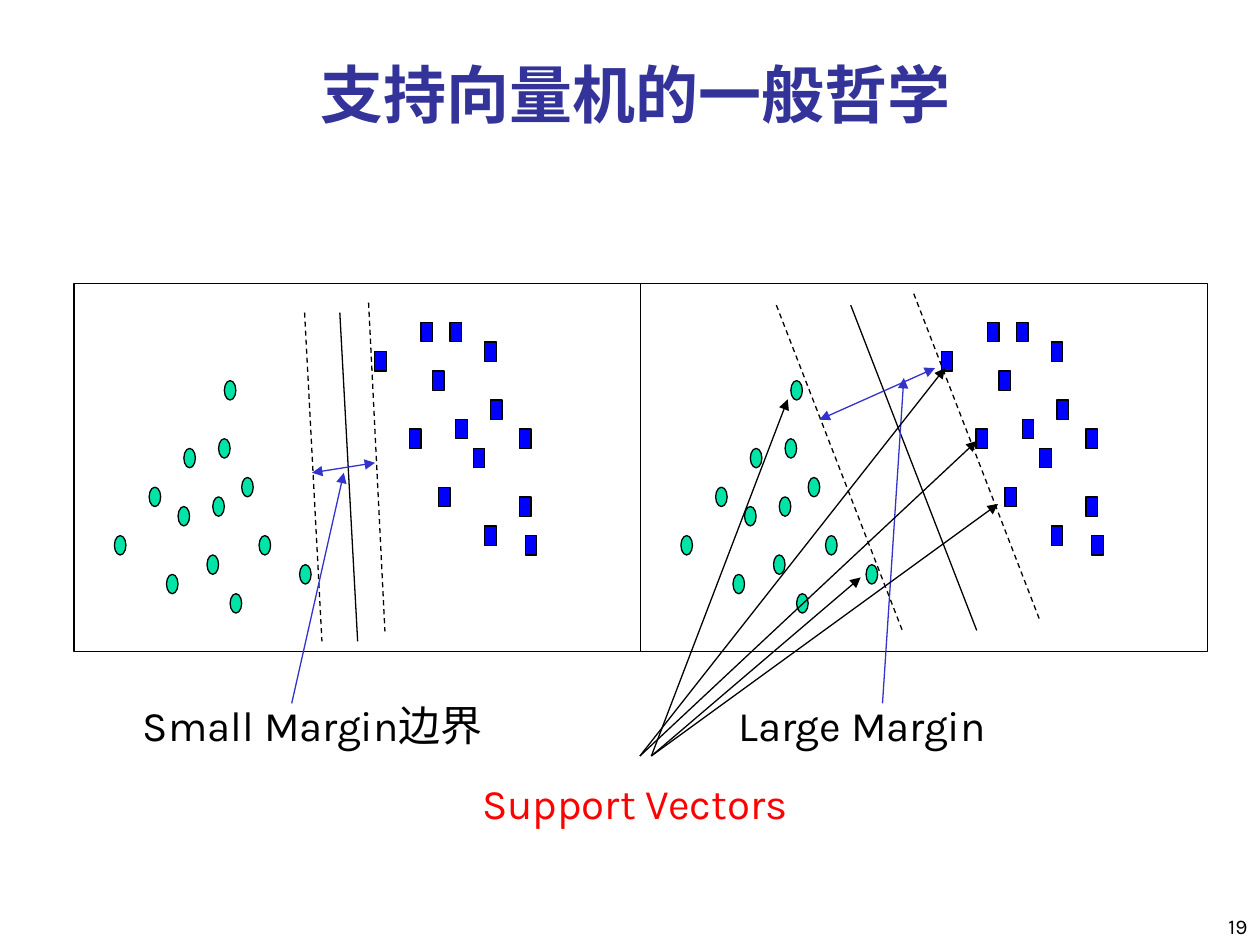
import pptx
import pptx.dml.color
import pptx.enum.dml
import pptx.enum.shapes
import pptx.enum.text
import pptx.oxml.ns
import pptx.util
import lxml.etree

Cm = pptx.util.Cm
ALIGN = pptx.enum.text.PP_ALIGN
ANCHOR = pptx.enum.text.MSO_ANCHOR
SHAPE = pptx.enum.shapes.MSO_SHAPE

FONT = "Karla"
BLACK, WHITE, NAVY, RED = "000000", "FFFFFF", "333399", "FF0000"
GREEN, BLUE, ARROW_BLUE = "00E4A8", "0000FF", "3333CC"

PANEL_WIDTH, PANEL_HEIGHT = 11.43, 7.42
GRID_COLUMNS, GRID_ROWS = 98, 38
CIRCLES = [(16, 30), (18, 23), (7, 26), (13, 21), (23, 28), (19, 17), (24, 22),
           (25, 16), (29, 20), (32, 26), (27, 32), (39, 29), (26, 10)]
SQUARES = [(58, 15), (52, 7), (60, 4), (63, 21), (62, 9), (66, 14), (65, 4),
           (71, 6), (69, 17), (72, 12), (71, 25), (77, 15), (77, 22), (78, 26)]

SMALL_MARGIN = {
    "label": ("Small Margin边界", 1.14, 7.65),
    "borders": [(5.94, 0.38, 6.27, 7.01), (4.65, 0.58, 5, 7.21)],
    "divider": (5.36, 0.58, 5.72, 7.21),
    "width_arrow": (4.8, 3.81, 6.07, 3.61),
    "pointer": (4.39, 8.46, 5.44, 3.81),
}
LARGE_MARGIN = {
    "label": ("Large Margin", 1.73, 5.84),
    "borders": [(2.74, 0.43, 5.28, 6.99), (5.51, 0.2, 8.05, 6.78)],
    "divider": (4.24, 0.43, 6.78, 6.99),
    "width_arrow": (3.61, 2.74, 5.94, 1.7),
    "pointer": (4.88, 8.46, 5.31, 1.9),
}


def color(code):
    """Return the colour for a hex string."""
    return pptx.dml.color.RGBColor.from_string(code)


def write_text(box, text, size=24, fill=BLACK, bold=False, align=ALIGN.LEFT,
               anchor=ANCHOR.TOP, wrap=False):
    """Put one formatted paragraph into a box."""
    frame = box.text_frame
    fit = pptx.enum.text.MSO_AUTO_SIZE
    frame.auto_size = fit.NONE if wrap else fit.SHAPE_TO_FIT_TEXT
    frame.word_wrap = wrap
    frame.vertical_anchor = anchor
    para = frame.paragraphs[0]
    para.alignment = align
    span = para.add_run()
    span.text = text
    span.font.name = FONT
    span.font.size = pptx.util.Pt(size)
    span.font.bold = bold
    span.font.color.rgb = color(fill)


def add_text(page, left, top, width, height, text, **style):
    """Add a text box with one paragraph."""
    box = page.shapes.add_textbox(Cm(left), Cm(top), Cm(width), Cm(height))
    write_text(box, text, **style)


def add_outlined(page, kind, left, top, width, height, fill=None):
    """Add a thin black outlined shape, filled when a colour is given."""
    shape = page.shapes.add_shape(kind, Cm(left), Cm(top), Cm(width), Cm(height))
    shape.shadow.inherit = False
    if fill:
        shape.fill.solid()
        shape.fill.fore_color.rgb = color(fill)
    else:
        shape.fill.background()
    shape.line.color.rgb = color(BLACK)
    shape.line.width = pptx.util.Pt(0.75)


def add_line(page, left, top, ends, stroke=BLACK, dashed=False, arrows=()):
    """Draw a straight line whose ends are relative to a corner."""
    x1, y1, x2, y2 = ends
    line = page.shapes.add_connector(
        pptx.enum.shapes.MSO_CONNECTOR.STRAIGHT,
        Cm(left + x1), Cm(top + y1), Cm(left + x2), Cm(top + y2))
    line.line.color.rgb = color(stroke)
    line.line.width = pptx.util.Pt(0.75)
    if dashed:
        line.line.dash_style = pptx.enum.dml.MSO_LINE.DASH
    properties = line._element.spPr
    outline = properties.find(pptx.oxml.ns.qn("a:ln"))
    for end in arrows:
        lxml.etree.SubElement(outline, pptx.oxml.ns.qn(f"a:{end}"), type="triangle")
    lxml.etree.SubElement(properties, pptx.oxml.ns.qn("a:effectLst"))


def add_title(page, left, top, width, height):
    """Place and format the title placeholder."""
    title = page.shapes.title
    title.left, title.top = Cm(left), Cm(top)
    title.width, title.height = Cm(width), Cm(height)
    write_text(title, "支持向量机的一般哲学", size=36, fill=NAVY, bold=True,
               align=ALIGN.CENTER, anchor=ANCHOR.BOTTOM, wrap=True)


def add_panel(page, left, top, margin):
    """Draw the two classes of points with one separating margin."""
    column, row = PANEL_WIDTH / GRID_COLUMNS, PANEL_HEIGHT / GRID_ROWS
    for kind, fill, places in ((SHAPE.OVAL, GREEN, CIRCLES),
                               (SHAPE.RECTANGLE, BLUE, SQUARES)):
        for x, y in places:
            add_outlined(page, kind, left + x * column, top + y * row,
                         2 * column, 2 * row, fill)
    add_outlined(page, SHAPE.RECTANGLE, left, top, PANEL_WIDTH, PANEL_HEIGHT)
    for border in margin["borders"]:
        add_line(page, left, top, border, dashed=True)
    add_line(page, left, top, margin["divider"])
    label, offset, width = margin["label"]
    add_text(page, left + offset, top + 8.26, width, 1.27, label)
    add_line(page, left, top, margin["width_arrow"], ARROW_BLUE,
             arrows=("headEnd", "tailEnd"))
    add_line(page, left, top, margin["pointer"], ARROW_BLUE, arrows=("tailEnd",))


def add_support_vectors(page, left, top):
    """Name the support vectors and point at each of them."""
    add_text(page, left, top + 8.12, 6.88, 1.27, "Support Vectors", fill=RED)
    for start, x, y in ((3.43, 9.58, 0), (3.43, 10.22, 1.47), (3.66, 10.65, 2.74),
                        (3.66, 7.88, 4.22), (3.66, 6.41, 0.63)):
        add_line(page, left, top, (start, 7.82, x, y), arrows=("tailEnd",))


def main():
    """Build the slide and save it."""
    deck = pptx.Presentation()
    deck.slide_width, deck.slide_height = Cm(25.4), Cm(19.05)
    page = deck.slides.add_slide(deck.slide_layouts.get_by_name("Title Only"))
    page.background.fill.solid()
    page.background.fill.fore_color.rgb = color(WHITE)
    add_title(page, 0.84, 1.07, 23.93, 1.7)
    add_text(page, 20.12, 17.98, 5.28, 1.07, "19", size=12, align=ALIGN.RIGHT,
             anchor=ANCHOR.BOTTOM, wrap=True)
    for left, margin in ((1.49, SMALL_MARGIN), (12.91, LARGE_MARGIN)):
        add_panel(page, left, 5.72, margin)
    add_support_vectors(page, 9.47, 7.42)
    deck.save("out.pptx")


if __name__ == "__main__":
    main()
